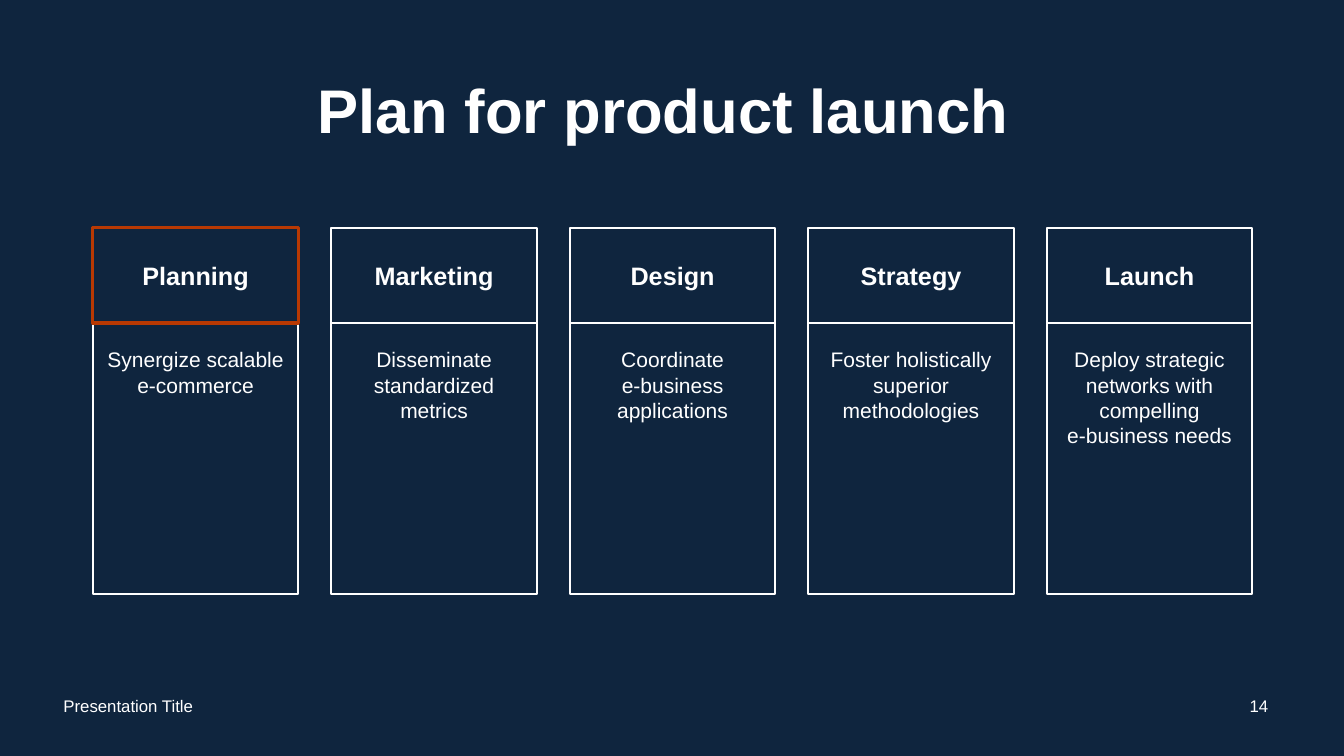
from pptx import Presentation
from pptx.dml.color import RGBColor
from pptx.enum.shapes import MSO_SHAPE as Shape
from pptx.enum.text import MSO_ANCHOR as Anchor, PP_ALIGN as Align
from pptx.util import Cm, Pt

NAVY = RGBColor(0x0F, 0x25, 0x3E)
WHITE = RGBColor(0xFF, 0xFF, 0xFF)
RUST = RGBColor(0xB8, 0x39, 0x03)

LEFT, PITCH, WIDTH = 2.34, 6.01, 5.18
HEADER_TOP, HEADER_HEIGHT = 5.74, 2.4
DETAIL_TOP, DETAIL_HEIGHT = 8.13, 6.83

STAGES = [
    ("Planning", ["Synergize scalable", "e-commerce"]),
    ("Marketing", ["Disseminate standardized metrics"]),
    ("Design", ["Coordinate", "e-business applications"]),
    ("Strategy", ["Foster holistically superior methodologies"]),
    ("Launch", ["Deploy strategic networks with compelling", "e-business needs"]),
]


def write(holder, lines, size, bold=False, align=Align.CENTER,
          anchor=Anchor.MIDDLE, top_inset=0.13, spacing=1.0):
    """Fill a box or shape with formatted paragraphs."""
    frame = holder.text_frame
    frame.word_wrap = True
    frame.vertical_anchor = anchor
    frame.margin_left = frame.margin_right = Cm(0.25)
    frame.margin_top, frame.margin_bottom = Cm(top_inset), Cm(0.13)
    for index, line in enumerate(lines):
        paragraph = frame.add_paragraph() if index else frame.paragraphs[0]
        paragraph.alignment = align
        paragraph.line_spacing = spacing
        run = paragraph.add_run()
        run.text = line
        run.font.name = "Arial"
        run.font.size = Pt(size)
        run.font.bold = bold
        run.font.color.rgb = WHITE


def add_label(slide, left, top, width, height, text, size, **format):
    """Add a text box holding one paragraph."""
    label = slide.shapes.add_textbox(Cm(left), Cm(top), Cm(width), Cm(height))
    write(label, [text], size, **format)


def add_outline(slide, left, top, height, color=WHITE, weight=1.5):
    """Add an unfilled rectangle as wide as a stage column."""
    outline = slide.shapes.add_shape(
        Shape.RECTANGLE, Cm(left), Cm(top), Cm(WIDTH), Cm(height))
    outline.shadow.inherit = False
    outline.fill.background()
    outline.line.color.rgb = color
    outline.line.width = Pt(weight)
    return outline


def add_stage(slide, left, heading, details):
    """Add a stage column: its heading above its details."""
    header = add_outline(slide, left, HEADER_TOP, HEADER_HEIGHT)
    write(header, [heading], 18, bold=True)
    body = add_outline(slide, left, DETAIL_TOP, DETAIL_HEIGHT)
    write(body, details, 15, anchor=Anchor.TOP, top_inset=0.61)


def main():
    """Build the launch plan slide and save it."""
    deck = Presentation()
    deck.slide_width, deck.slide_height = Cm(33.87), Cm(19.05)
    slide = deck.slides.add_slide(deck.slide_layouts[6])
    slide.background.fill.solid()
    slide.background.fill.fore_color.rgb = NAVY

    add_label(slide, LEFT, 1.02, 29.21, 3.68, "Plan for product launch ", 44,
              bold=True, spacing=0.9)
    for column, (heading, details) in enumerate(STAGES):
        add_stage(slide, LEFT + column * PITCH, heading, details)
    add_label(slide, 1.35, 17.27, 11.43, 1.02, "Presentation Title", 12,
              align=Align.LEFT)
    add_label(slide, 31.09, 17.27, 1.27, 1.02, "14", 12)
    add_outline(slide, LEFT, HEADER_TOP, HEADER_HEIGHT, RUST, 2.25)

    deck.save("out.pptx")


if __name__ == "__main__":
    main()
